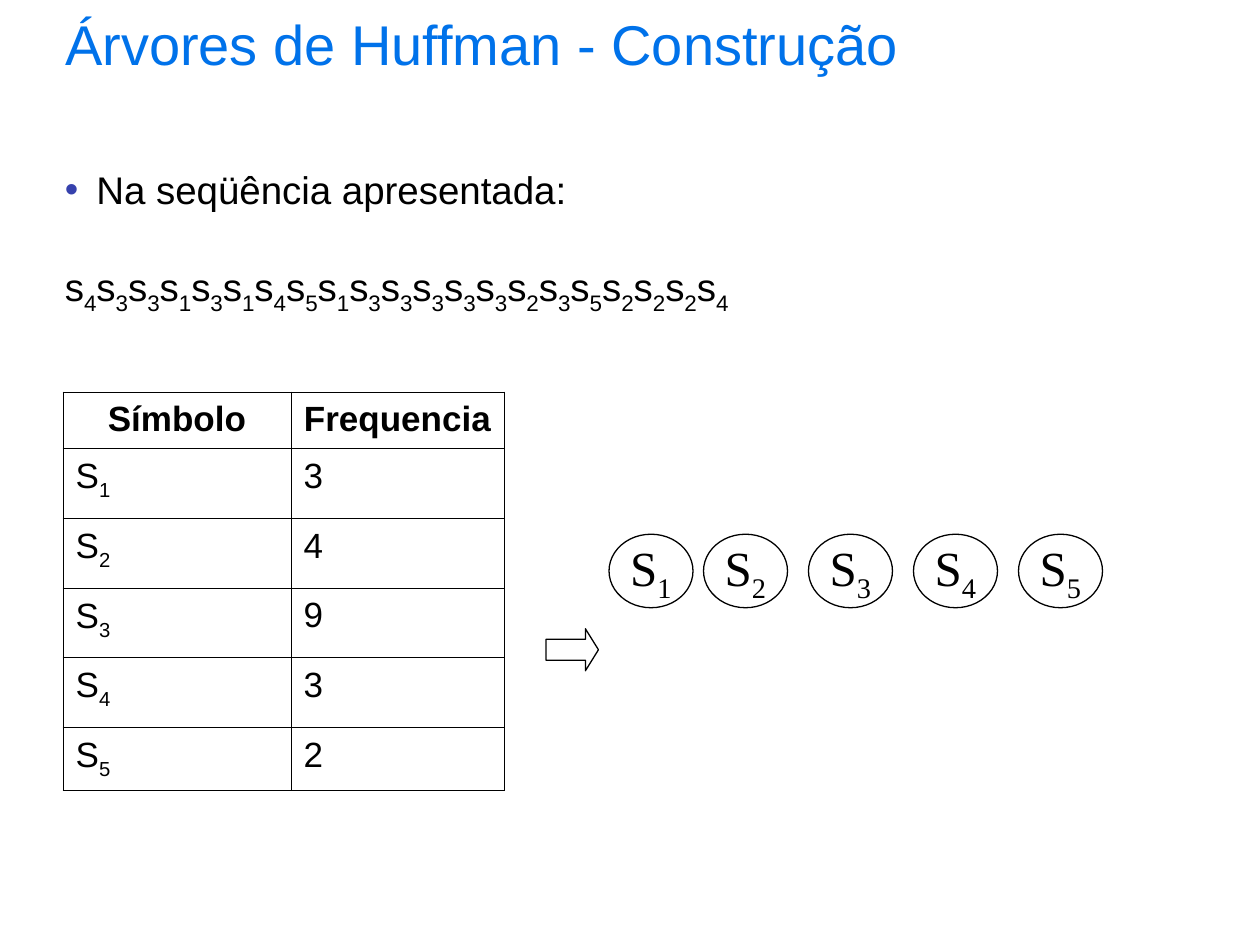
"""Builds the slide on constructing Huffman trees."""
from lxml.etree import SubElement
from pptx import Presentation
from pptx.dml.color import RGBColor
from pptx.enum.shapes import MSO_SHAPE
from pptx.enum.text import MSO_ANCHOR, PP_ALIGN
from pptx.oxml import parse_xml
from pptx.oxml.ns import nsdecls, qn
from pptx.util import Pt

COLORS = {"title": "0072EA", "text": "000000", "bullet": "3641AD", "line": "000000"}
SEQUENCE = "433131451333332352224"
FREQUENCIES = {"S_1": 3, "S_2": 4, "S_3": 9, "S_4": 3, "S_5": 2}
NODE_LEFTS = [348, 402, 462, 522, 582]


class SlideBuilder:
    def __init__(self, page, font="Arial", node_font="Times New Roman"):
        self.page = page
        self.font = font
        self.node_font = node_font

    def add_spans(self, paragraph, text, size, font=None, color="text", bold=False):
        for index, part in enumerate(text.split("_")):
            span = paragraph.add_run()
            span.text = part
            span.font.name = font or self.font
            span.font.size = Pt(size)
            span.font.bold = bold
            span.font.color.rgb = RGBColor.from_string(COLORS[color])
            if index % 2:
                span.font._element.set("baseline", "-25000")

    def space(self, paragraph, gap):
        paragraph.line_spacing = 1.05
        paragraph.space_before = paragraph.space_after = Pt(gap)

    def title(self, text, left, top, width, height):
        box = self.page.shapes.title
        box.left, box.top, box.width, box.height = map(Pt, (left, top, width, height))
        frame = box.text_frame
        frame.vertical_anchor = MSO_ANCHOR.TOP
        paragraph = frame.paragraphs[0]
        paragraph.alignment = PP_ALIGN.LEFT
        paragraph.line_spacing = 0.9
        self.add_spans(paragraph, text, 32, color="title")

    def body(self, bullet_text, sequence, left, top, width, height):
        box = self.page.shapes.add_textbox(*map(Pt, (left, top, width, height)))
        frame = box.text_frame
        frame.word_wrap = True
        bullet, symbols = frame.paragraphs[0], frame.add_paragraph()
        for paragraph, text in ((bullet, bullet_text), (symbols, sequence)):
            self.space(paragraph, 13.8)
            self.add_spans(paragraph, text, 22)
            properties = paragraph._p.get_or_add_pPr()
            properties.set("marL", str(Pt(18)))
            properties.set("indent", str(-Pt(18)))
        properties = bullet._p.get_or_add_pPr()
        color = SubElement(properties, qn("a:buClr"))
        SubElement(color, qn("a:srgbClr"), val=COLORS["bullet"])
        SubElement(properties, qn("a:buFont"), typeface=self.font)
        SubElement(properties, qn("a:buChar"), char="•")

    def table(self, rows, left, top, widths, heights):
        area = (left, top, sum(widths), sum(heights))
        frame = self.page.shapes.add_table(len(rows), len(widths), *map(Pt, area))
        table = frame.table
        table.first_row = table.horz_banding = False
        for column, width in zip(table.columns, widths):
            column.width = Pt(width)
        for row, height, texts in zip(table.rows, heights, rows):
            row.height = Pt(height)
            header = texts is rows[0]
            for cell, text in zip(row.cells, texts):
                cell.fill.background()
                paragraph = cell.text_frame.paragraphs[0]
                paragraph.alignment = PP_ALIGN.CENTER if header else PP_ALIGN.LEFT
                self.space(paragraph, 12.5)
                self.add_spans(paragraph, text, 20, bold=header)
                self.border(cell)

    def border(self, cell):
        properties = cell._tc.get_or_add_tcPr()
        for index, side in enumerate(("lnL", "lnR", "lnT", "lnB")):
            properties.insert(index, parse_xml(
                f'<a:{side} {nsdecls("a")} w="{Pt(0.45)}"><a:solidFill>'
                f'<a:srgbClr val="{COLORS["line"]}"/></a:solidFill></a:{side}>'))

    def outline(self, kind, left, top, width, height):
        shape = self.page.shapes.add_shape(kind, *map(Pt, (left, top, width, height)))
        shape.shadow.inherit = False
        shape.fill.background()
        shape.line.color.rgb = RGBColor.from_string(COLORS["line"])
        shape.line.width = Pt(0.75)
        return shape

    def arrow(self, left, top, width, height):
        shape = self.outline(MSO_SHAPE.RIGHT_ARROW, left, top, width, height)
        shape.adjustments[0] = 0.5
        shape.adjustments[1] = 0.31

    def node(self, text, left, top, width, height):
        frame = self.outline(MSO_SHAPE.OVAL, left, top, width, height).text_frame
        frame.word_wrap = False
        frame.vertical_anchor = MSO_ANCHOR.MIDDLE
        paragraph = frame.paragraphs[0]
        paragraph.alignment = PP_ALIGN.CENTER
        self.add_spans(paragraph, text, 28, self.node_font)


def main():
    deck = Presentation()
    deck.slide_width, deck.slide_height = Pt(720), Pt(540)
    builder = SlideBuilder(deck.slides.add_slide(deck.slide_layouts[5]))
    builder.title("Árvores de Huffman - Construção", 30, 6, 648, 90)
    sequence = "_".join(f"s_{digit}" for digit in SEQUENCE)
    builder.body("Na seqüência apresentada:", sequence, 30, 90, 660, 420)
    rows = [("Símbolo", "Frequencia")]
    rows += [(symbol, str(count)) for symbol, count in FREQUENCIES.items()]
    builder.table(rows, 36, 224, [130.3, 121.7], [32.4] + [39.8] * 4 + [36])
    builder.arrow(312, 359.3, 30, 24)
    for symbol, left in zip(FREQUENCIES, NODE_LEFTS):
        builder.node(symbol, left, 305.3, 48, 42)
    deck.save("out.pptx")


if __name__ == "__main__":
    main()
